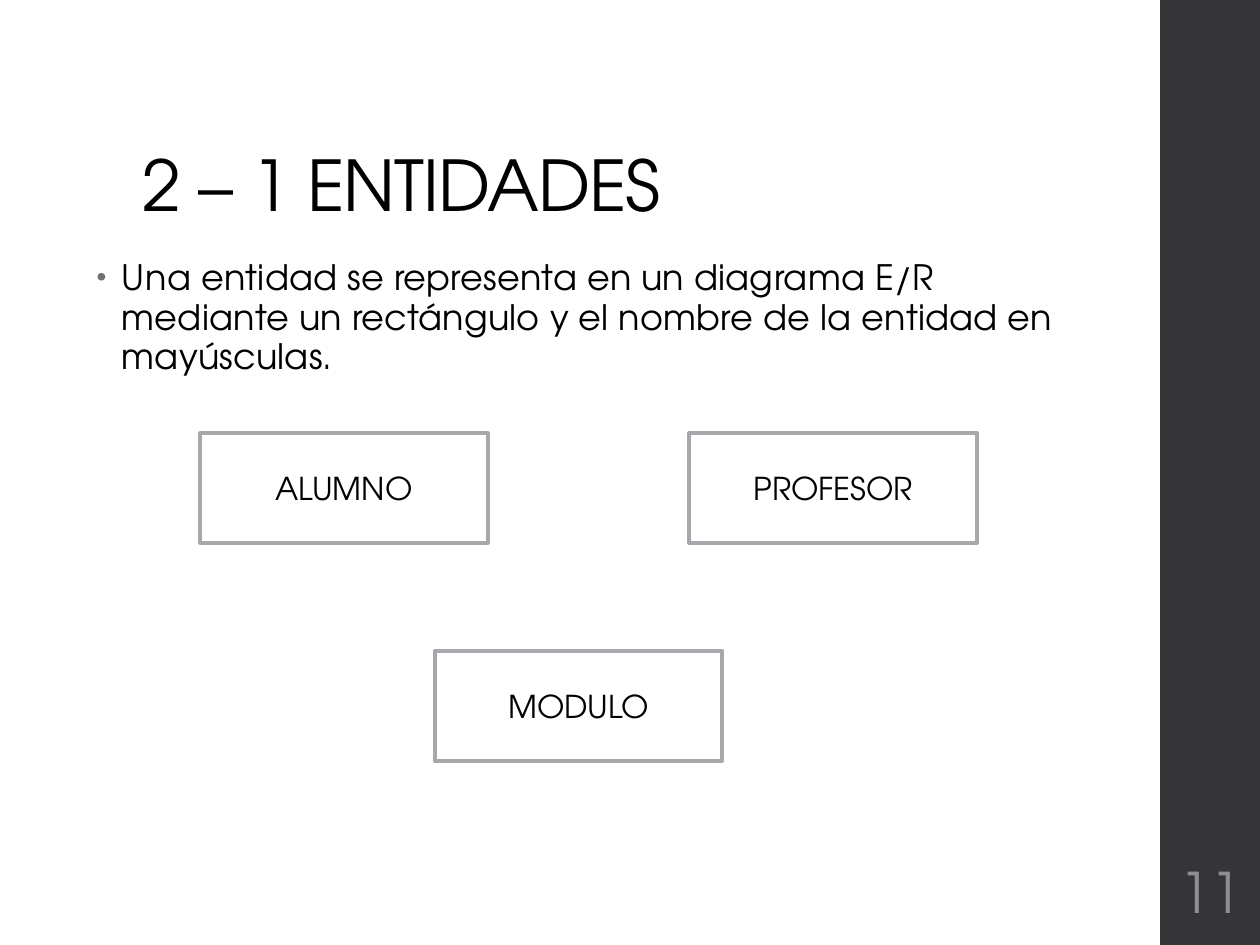
from pptx import Presentation
from pptx.dml.color import RGBColor
from pptx.enum.shapes import MSO_SHAPE
from pptx.enum.text import MSO_ANCHOR, PP_ALIGN
from pptx.oxml import parse_xml
from pptx.oxml.ns import nsdecls
from pptx.util import Pt

RECT = MSO_SHAPE.RECTANGLE
TOP, MIDDLE, BOTTOM = MSO_ANCHOR.TOP, MSO_ANCHOR.MIDDLE, MSO_ANCHOR.BOTTOM
LEFT, CENTER = PP_ALIGN.LEFT, PP_ALIGN.CENTER
FONT = "TeX Gyre Adventor"
rgb = RGBColor.from_string


def write(shape, text, size, anchor, align, color="000000", track=0):
    frame = shape.text_frame
    frame.text = text
    frame.word_wrap = True
    frame.vertical_anchor = anchor
    par = frame.paragraphs[0]
    par.alignment = align
    run = par.runs[0]
    run.font.name = FONT
    run.font.size = Pt(size)
    run.font.color.rgb = rgb(color)
    if track:
        run.font._element.set("spc", str(track))
    return par


def add_rect(x, y, w, h, fill):
    rect = slide.shapes.add_shape(RECT, Pt(x), Pt(y), Pt(w), Pt(h))
    rect.shadow.inherit = False
    rect.fill.solid()
    rect.fill.fore_color.rgb = rgb(fill)
    return rect


prs = Presentation()
prs.slide_width, prs.slide_height = Pt(720), Pt(540)
slide = prs.slides.add_slide(prs.slide_layouts[6])

# Side bar
bar = add_rect(663, 0, 57, 540, "353537")
bar.line.fill.background()

# Title
title = slide.shapes.add_textbox(Pt(74.2), Pt(28.8), Pt(572.4), Pt(104.4))
par = write(title, "2 – 1 ENTIDADES", 40, BOTTOM, LEFT, track=-50)
par.line_spacing = 0.9

# Bulleted definition
body = slide.shapes.add_textbox(Pt(48.2), Pt(144), Pt(572.4), Pt(75))
par = write(body, "Una entidad se representa en un diagrama E/R mediante un "
            "rectángulo y el nombre de la entidad en mayúsculas.",
            20, TOP, LEFT, track=10)
par.line_spacing = 0.95
par.space_before, par.space_after = Pt(14), Pt(2)
props = par._p.get_or_add_pPr()
props.set("marL", str(Pt(14.4)))
props.set("indent", str(-Pt(14.4)))
for tag in ('buClr %s><a:srgbClr val="6F6F74"/></a:buClr>',
            'buSzPct %s val="80000"/>',
            'buFont %s typeface="Arial"/>',
            'buChar %s char="•"/>'):
    props.append(parse_xml("<a:" + tag % nsdecls("a")))

# Slide number
num = slide.shapes.add_textbox(Pt(664.6), Pt(486), Pt(54), Pt(46.8))
write(num, "11", 32, MIDDLE, CENTER, "8E8E94")
num.text_frame.margin_left = num.text_frame.margin_right = Pt(2.2)

# Entity boxes
for name, x, y in (("ALUMNO", 114.4, 247.6),
                   ("MODULO", 248.4, 372.2),
                   ("PROFESOR", 394, 247.6)):
    box = add_rect(x, y, 164.4, 62.6, "FFFFFF")
    box.line.color.rgb = rgb("A8A8AC")
    box.line.width = Pt(2.25)
    write(box, name, 18, MIDDLE, CENTER)

prs.save("out.pptx")
